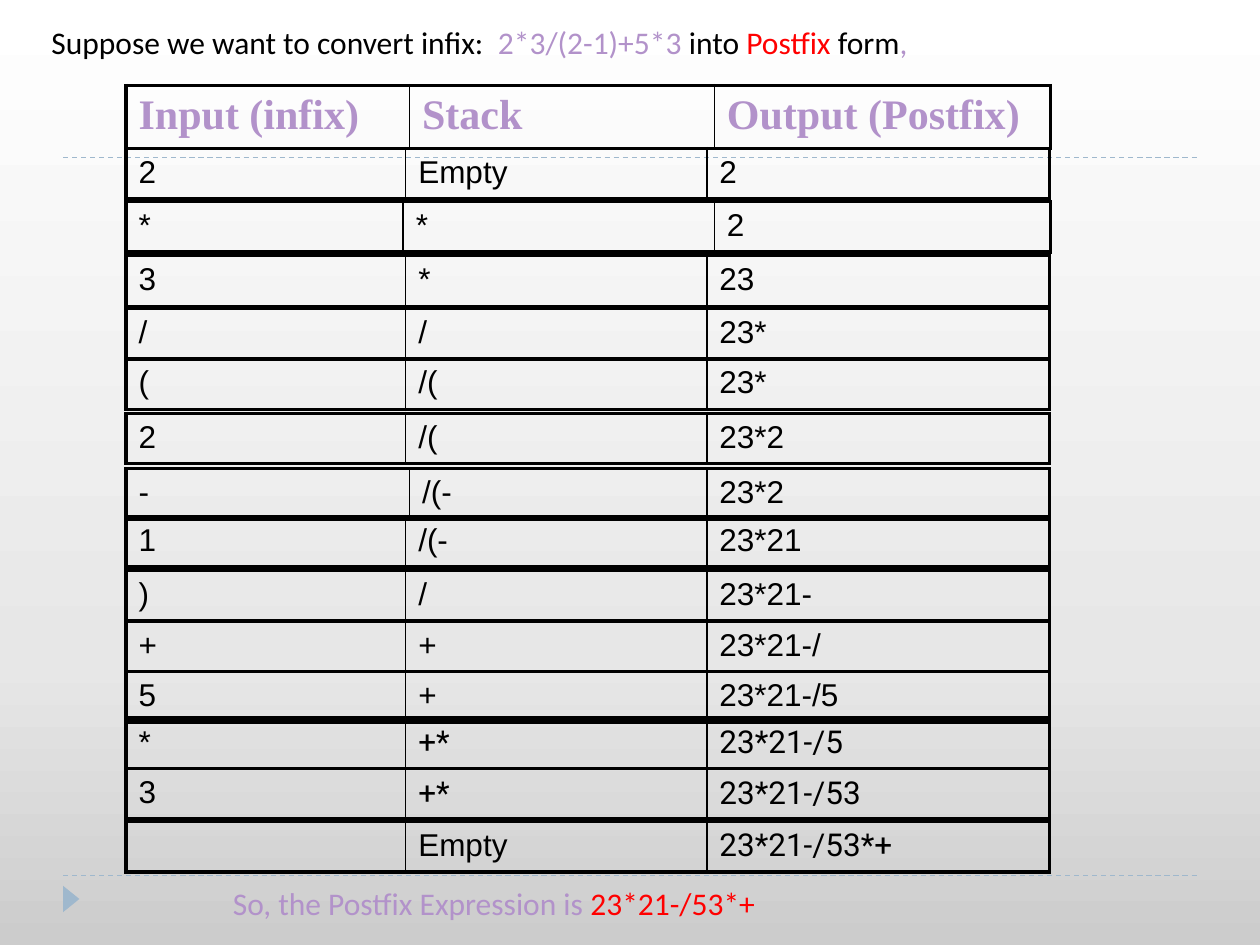
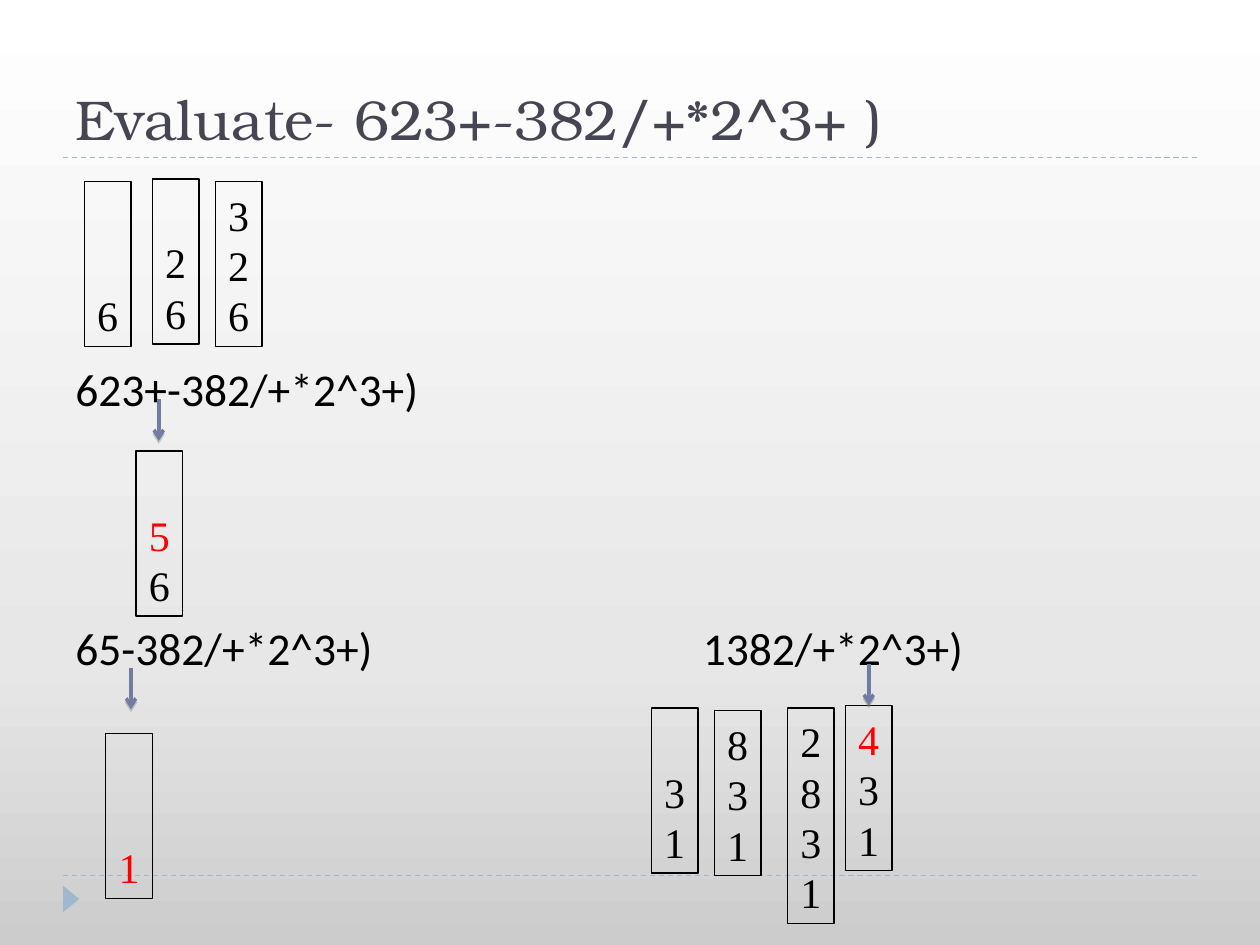
from lxml import etree
from pptx import Presentation
from pptx import util as u
from pptx.dml.color import RGBColor
from pptx.enum import dml, shapes, text
from pptx.oxml.ns import qn

COLORS = {"ink": "000000", "violet": "B292CA", "red": "FF0000", "title": "464653",
          "rule": "9FB8CD", "arrow": "727CA3", "shadow": "808080"}
BACKGROUND = [(0, "CCCCCC"), (30, "E7E7E7"), (100, "FFFFFF")]
WIDTH, HEIGHT, MARGIN = 10, 7.5, 0.5
RULE_TOPS = (1.25, 6.95)

QUESTION = [("Suppose we want to convert infix: ", "ink"), (" 2*3/(2-1)+5*3 ", "violet"),
            ("into ", "ink"), ("Postfix ", "red"), ("form", "ink"), (",", "violet")]
ANSWER = [("So, the Postfix Expression is ", "violet"), ("23*21-/53*+", "red")]

# Each step is a one-row table: top, then input, stack and output
HEADER = (0.68, "Input (infix)", "Stack", "Output (Postfix)")
STEPS = [
    (1.18, "2", "Empty", "2"),
    (1.6, "*", "*", "2"),
    (2.03, "3", "*", "23"),
    (2.45, "/", "/", "23*"),
    (2.85, "(", "/(", "23*"),
    (3.28, "2", "/(", "23*2"),
    (3.72, "-", "/(-", "23*2"),
    (4.1, "1", "/(-", "23*21"),
    (4.53, ")", "/", "23*21-"),
    (4.93, "+", "+", "23*21-/"),
    (5.33, "5", "+", "23*21-/5"),
    (5.7, "*", "+*", "23*21-/5"),
    (6.1, "3", "+*", "23*21-/53"),
    (6.52, "", "Empty", "23*21-/53*+"),
]
TABLE_LEFT, ROW_HEIGHT, HEADER_HEIGHT = 1, 0.4, 0.5
COLUMNS = (2.22, 2.39, 2.72)
HEADER_COLUMNS = (2.25, 2.42, 2.67)
SPECIAL_COLUMNS = {1: (2.2, 2.47, 2.67), 6: (2.25, 2.36, 2.72)}
ROBOTO_CELLS = {(11, 1), (11, 2), (12, 1), (12, 2), (13, 2)}
THICK, THIN = 2.25, 1

TITLE = "Evaluate- 623+-382/+*2^3+ )"
EXPRESSIONS = [(0.5, 2.81, "623+-382/+*2^3+)"),
               (0.5, 4.87, "65-382/+*2^3+)"),
               (5.48, 4.87, "1382/+*2^3+)")]
# Left, top, digits from the top down, whether the top digit is a new result
STACKS = [
    (0.67, 1.44, "6", False), (1.21, 1.42, "26", False), (1.71, 1.44, "326", False),
    (1.08, 3.58, "56", True), (0.84, 5.82, "1", True),
    (5.17, 5.62, "31", False), (5.67, 5.64, "831", False),
    (6.25, 5.62, "2831", False), (6.71, 5.6, "431", True),
]
STACK_WIDTH, DIGIT_HEIGHT, STACK_PADDING, MIN_DIGITS = 0.37, 0.4, 0.11, 3
FREE_ARROWS = [(1.26, 3.17), (1.04, 5.3)]
ARROW_LENGTH = 0.33


def rgb(name):
    return RGBColor.from_string(COLORS[name])


def inches(*lengths):
    return [u.Inches(length) for length in lengths]


def add_span(para, words, size, font, color, bold=False):
    span = para.add_run()
    span.text = words
    span.font.size, span.font.name, span.font.bold = u.Pt(size), font, bold
    span.font.color.rgb = rgb(color)


def add_text(page, place, spans, size, font="Calibri", anchor=text.MSO_ANCHOR.MIDDLE):
    frame = page.shapes.add_textbox(*inches(*place)).text_frame
    frame.word_wrap = True
    frame.vertical_anchor = anchor
    for words, color in spans:
        add_span(frame.paragraphs[0], words, size, font, color)


def set_line(line, color, width):
    line.color.rgb = rgb(color)
    line.width = u.Pt(width)


def add_line(page, start, end, color, width):
    """Add a straight connector and return it with its empty effect list."""
    line = page.shapes.add_connector(shapes.MSO_CONNECTOR.STRAIGHT, *inches(*start, *end))
    set_line(line.line, color, width)
    effects = etree.SubElement(line.element.spPr, qn("a:effectLst"))
    return line, effects


def set_background(master):
    fill = master.background.fill
    fill.gradient()
    fill.gradient_angle = 90
    stops = next(master.element.iter(qn("a:gsLst")))
    for stop in list(stops):
        stops.remove(stop)
    for share, color in BACKGROUND:
        stop = etree.SubElement(stops, qn("a:gs"), pos=str(share * 1000))
        etree.SubElement(stop, qn("a:srgbClr"), val=color)


def add_page(deck):
    """Add a blank page with the two dashed rules and the corner marker."""
    page = deck.slides.add_slide(deck.slide_layouts[6])
    for top in RULE_TOPS:
        rule, _ = add_line(page, (MARGIN, top), (WIDTH - MARGIN, top), "rule", 0.75)
        rule.line.dash_style = dml.MSO_LINE.DASH
    marker = page.shapes.add_shape(shapes.MSO_SHAPE.ISOSCELES_TRIANGLE,
                                   *inches(0.46, 7.07, 0.21, 0.13))
    marker.rotation = 90
    marker.shadow.inherit = False
    marker.fill.solid()
    marker.fill.fore_color.rgb = rgb("rule")
    marker.line.fill.background()
    return page


def set_borders(cell, widths):
    for side, width in zip("LRTB", widths):
        border = etree.SubElement(cell._tc.get_or_add_tcPr(), qn(f"a:ln{side}"),
                                  w=str(u.Pt(width)))
        fill = etree.SubElement(border, qn("a:solidFill"))
        etree.SubElement(fill, qn("a:srgbClr"), val=COLORS["ink"])


def add_step(page, step, columns, height, styles, space=0):
    """Add a one-row table; styles holds size, font, colour and bold per cell."""
    top, *words = step
    table = page.shapes.add_table(1, len(columns), *inches(
        TABLE_LEFT, top, sum(columns), height)).table
    table.first_row = table.horz_banding = False
    for index, width in enumerate(columns):
        table.columns[index].width = u.Inches(width)
        cell = table.cell(0, index)
        left = THICK if index == 0 else THIN
        right = THICK if index == len(columns) - 1 else THIN
        set_borders(cell, (left, right, THICK, THICK))
        cell.fill.background()
        para = cell.text_frame.paragraphs[0]
        para.space_before = u.Pt(space)
        if words[index]:
            add_span(para, words[index], *styles[index])


def add_stack(page, left, top, digits, is_result):
    height = DIGIT_HEIGHT * max(len(digits), MIN_DIGITS) + STACK_PADDING
    box = page.shapes.add_shape(shapes.MSO_SHAPE.RECTANGLE,
                                *inches(left, top, STACK_WIDTH, height))
    box.shadow.inherit = False
    box.fill.background()
    set_line(box.line, "ink", 0.75)
    frame = box.text_frame
    frame.word_wrap = False
    frame.vertical_anchor = text.MSO_ANCHOR.BOTTOM
    for index, digit in enumerate(digits):
        para = frame.add_paragraph() if index else frame.paragraphs[0]
        para.alignment = text.PP_ALIGN.CENTER
        color = "red" if is_result and index == 0 else "ink"
        add_span(para, digit, 24, "Times New Roman", color)
    return box


def add_arrow(page, x, top):
    arrow, effects = add_line(page, (x, top), (x, top + ARROW_LENGTH), "arrow", 2)
    etree.SubElement(arrow.line._get_or_add_ln(), qn("a:tailEnd"), type="arrow")
    shadow = etree.SubElement(effects, qn("a:outerShdw"), blurRad="0",
                              dist=str(u.Pt(1.6)), dir="5400000", rotWithShape="0")
    tint = etree.SubElement(shadow, qn("a:srgbClr"), val=COLORS["shadow"])
    etree.SubElement(tint, qn("a:alpha"), val="38000")
    return arrow


def build_conversion(deck):
    page = add_page(deck)
    add_text(page, (0.31, 0.13, 7.56, 0.4), QUESTION, 18)
    add_text(page, (1.75, 6.97, 5.89, 0.4), ANSWER, 18)
    for index, step in enumerate(STEPS):
        styles = [(18, "Roboto" if (index, column) in ROBOTO_CELLS else "Arial", "ink")
                  for column in range(len(COLUMNS))]
        add_step(page, step, SPECIAL_COLUMNS.get(index, COLUMNS), ROW_HEIGHT, styles)
    heading = (24, "Times New Roman", "violet", True)
    add_step(page, HEADER, HEADER_COLUMNS, HEADER_HEIGHT, [heading] * 3, space=4.8)


def build_evaluation(deck):
    page = add_page(deck)
    add_text(page, (MARGIN, 0.17, WIDTH - 2 * MARGIN, 1.08), [(TITLE, "title")], 32,
             "TeX Gyre Bonum", text.MSO_ANCHOR.BOTTOM)
    for left, top, words in EXPRESSIONS:
        add_text(page, (left, top, 4, 0.54), [(words, "ink")], 26)
    boxes = [add_stack(page, *stack) for stack in STACKS]
    for x, top in FREE_ARROWS:
        add_arrow(page, x, top)
    left, top = STACKS[-1][:2]
    arrow = add_arrow(page, left + STACK_WIDTH / 2, top - ARROW_LENGTH)
    arrow.end_connect(boxes[-1], 0)


def main():
    deck = Presentation()
    deck.slide_width, deck.slide_height = inches(WIDTH, HEIGHT)
    set_background(deck.slide_master)
    build_conversion(deck)
    build_evaluation(deck)
    deck.save("out.pptx")


if __name__ == "__main__":
    main()
